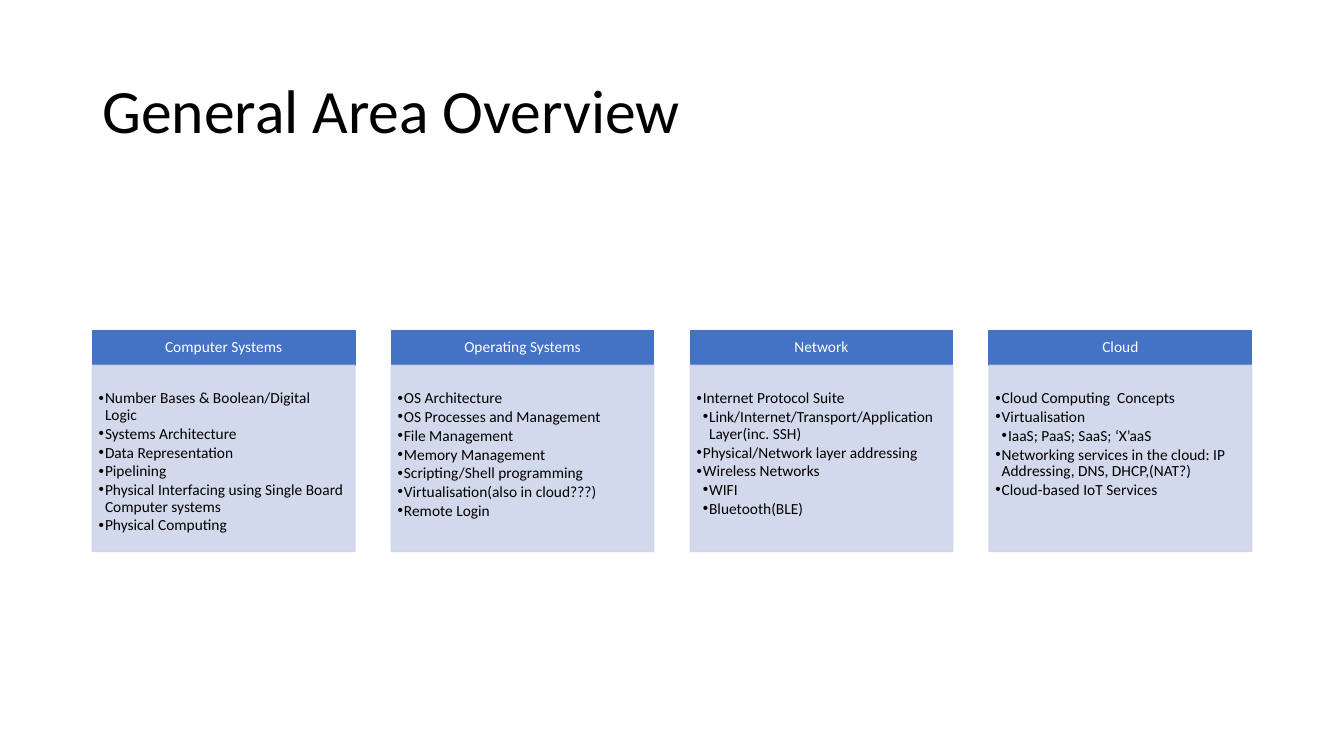
import pptx
import pptx.util
import pptx.dml.color
import pptx.enum.shapes
import pptx.enum.text
import pptx.oxml.ns
import lxml.etree

Pt = pptx.util.Pt
qn = pptx.oxml.ns.qn
ANCHOR = pptx.enum.text.MSO_ANCHOR
ALIGN = pptx.enum.text.PP_ALIGN

COLORS = {"text": "000000", "header": "4472C4", "panel": "CFD5EA", "white": "FFFFFF"}

COLUMNS = [
    ("Computer Systems", [
        (1, "Number Bases & Boolean/Digital Logic"),
        (1, "Systems Architecture"),
        (1, "Data Representation"),
        (1, "Pipelining"),
        (1, "Physical Interfacing using Single Board Computer systems"),
        (1, "Physical Computing"),
    ]),
    ("Operating Systems", [
        (1, "OS Architecture"),
        (1, "OS Processes and Management"),
        (1, "File Management"),
        (1, "Memory Management"),
        (1, "Scripting/Shell programming"),
        (1, "Virtualisation(also in cloud???)"),
        (1, "Remote Login"),
    ]),
    ("Network", [
        (1, "Internet Protocol Suite"),
        (2, "Link/Internet/Transport/Application Layer(inc. SSH)"),
        (1, "Physical/Network layer addressing"),
        (1, "Wireless Networks"),
        (2, "WIFI"),
        (2, "Bluetooth(BLE)"),
    ]),
    ("Cloud", [
        (1, "Cloud Computing  Concepts"),
        (1, "Virtualisation"),
        (2, "IaaS; PaaS; SaaS; ‘X’aaS"),
        (1, "Networking services in the cloud: IP Addressing, DNS, DHCP,(NAT?)"),
        (1, "Cloud-based IoT Services"),
    ]),
]


class Deck:
    font = "Calibri"
    size = 11
    indent = 4.5

    def __init__(self, width, height):
        self.prs = pptx.Presentation()
        self.prs.slide_width, self.prs.slide_height = Pt(width), Pt(height)
        self.s = self.prs.slides.add_slide(self.prs.slide_layouts[5])

    def color(self, name):
        return pptx.dml.color.RGBColor.from_string(COLORS[name])

    def add_text(self, p, text, size, color, align=ALIGN.LEFT):
        p.alignment = align
        p.line_spacing = 0.9
        r = p.add_run()
        r.text = text
        r.font.name, r.font.size = self.font, Pt(size)
        r.font.color.rgb = self.color(color)

    def frame(self, sp, anchor, insets):
        tf = sp.text_frame
        tf.word_wrap = True
        tf.auto_size = pptx.enum.text.MSO_AUTO_SIZE.NONE
        tf.vertical_anchor = anchor
        tf.margin_left, tf.margin_top, tf.margin_right, tf.margin_bottom = map(Pt, insets)
        return tf

    def title(self, text, left, top, width, height):
        sp = self.s.shapes.title
        sp.left, sp.top, sp.width, sp.height = map(Pt, (left, top, width, height))
        tf = self.frame(sp, ANCHOR.MIDDLE, (7.2, 3.6, 7.2, 3.6))
        self.add_text(tf.paragraphs[0], text, 44, "text")

    def box(self, color, left, top, width, height, opacity=100):
        sp = self.s.shapes.add_shape(
            pptx.enum.shapes.MSO_SHAPE.RECTANGLE, *map(Pt, (left, top, width, height)))
        sp.shadow.inherit = False
        sp.line.width = Pt(1)
        for fill in (sp.fill, sp.line.fill):
            fill.solid()
            fill.fore_color.rgb = self.color(color)
        if opacity < 100:
            for clr in sp._element.spPr.iter(qn("a:srgbClr")):
                lxml.etree.SubElement(clr, qn("a:alpha"), val=str(opacity * 1000))
        return sp

    def header(self, text, *area):
        tf = self.frame(self.box("header", *area), ANCHOR.MIDDLE, (6.5, 3.6, 6.5, 3.6))
        self.add_text(tf.paragraphs[0], text, self.size, "white", ALIGN.CENTER)

    def bullets(self, items, *area):
        sp = self.box("panel", *area, opacity=90)
        tf = self.frame(sp, ANCHOR.TOP, (4.5, 18, 6.5, 7))
        for i, (level, text) in enumerate(items):
            p = tf.add_paragraph() if i else tf.paragraphs[0]
            p.level = level
            p.space_after = Pt(1.5)
            self.add_text(p, text, self.size, "text")
            pPr = p._p.get_or_add_pPr()
            pPr.set("marL", str(Pt(self.indent * level)))
            pPr.set("indent", str(-Pt(self.indent)))
            lxml.etree.SubElement(pPr, qn("a:buFont"), typeface="Arial")
            lxml.etree.SubElement(pPr, qn("a:buChar"), char="•")


deck = Deck(960, 540)
deck.title("General Area Overview", 66, 28.75, 828, 104.4)

LEFT, TOP, WIDTH, PITCH = 66, 236, 187.5, 213.5
HEADER_HEIGHT, PANEL_HEIGHT = 25, 133
for i, (heading, items) in enumerate(COLUMNS):
    x = LEFT + i * PITCH
    deck.header(heading, x, TOP, WIDTH, HEADER_HEIGHT)
    deck.bullets(items, x, TOP + HEADER_HEIGHT, WIDTH, PANEL_HEIGHT)

deck.prs.save("out.pptx")
